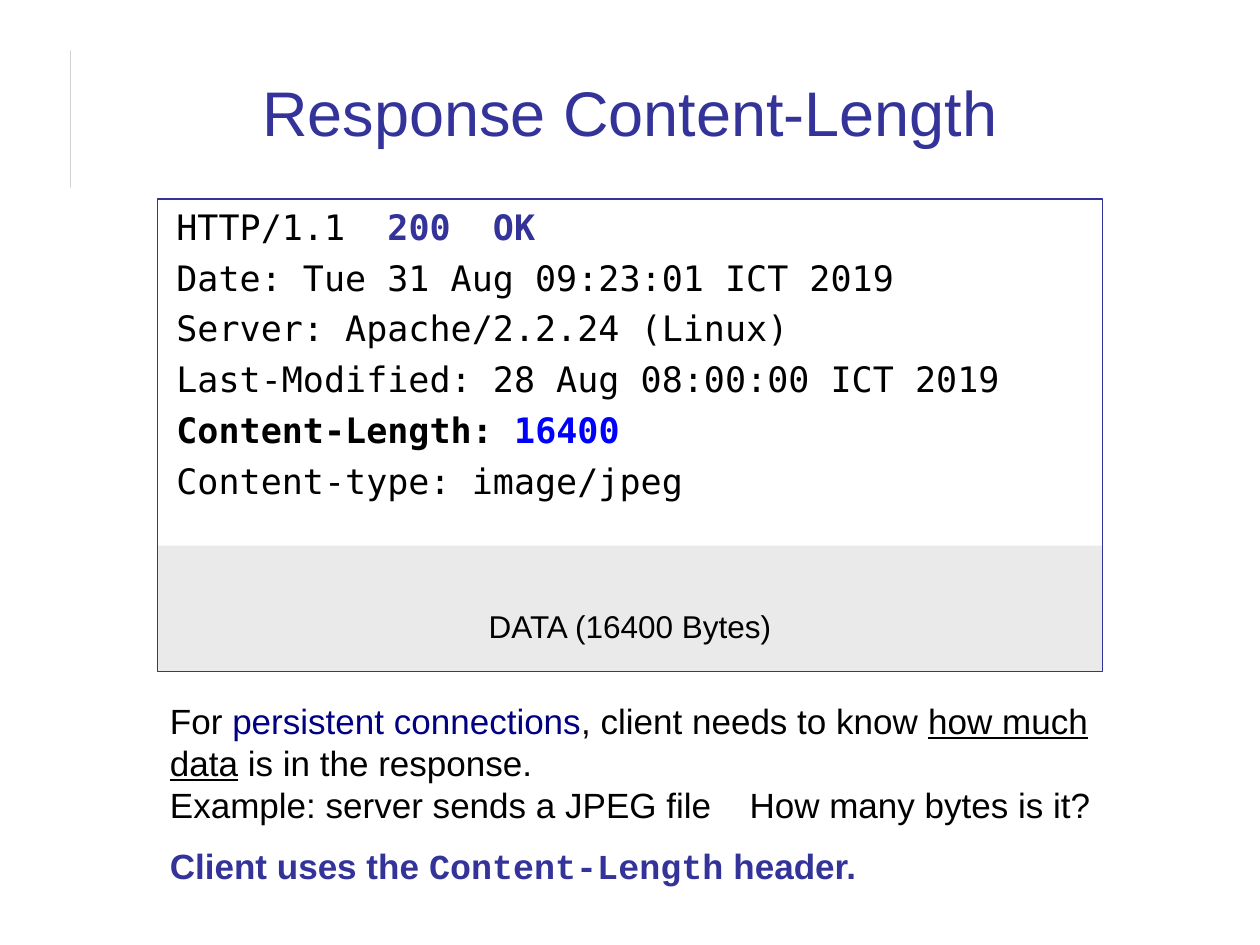
"""Build the slide on the Content-Length response header."""
from pptx import Presentation
from pptx.dml import color
from pptx.enum import shapes, text
from pptx.util import Inches, Pt

COLORS = {
    "black": "000000",
    "indigo": "333399",
    "navy": "000080",
    "blue": "0000FF",
    "data": "EAEAEA",
    "rule": "808080",
}
MONO = "DejaVu Sans Mono"

HEADERS = [
    [("HTTP/1.1  ", {}), ("200  OK", {"ink": "indigo", "bold": True})],
    [("Date: Tue 31 Aug 09:23:01 ICT 2019", {})],
    [("Server: Apache/2.2.24 (Linux)", {})],
    [("Last-Modified: 28 Aug 08:00:00 ICT 2019", {})],
    [("Content-Length: ", {"bold": True}), ("16400", {"ink": "blue", "bold": True})],
    [("Content-type: image/jpeg", {})],
]
CLIENT = {"ink": "indigo", "bold": True}
NOTES = [
    [
        ("For ", {}),
        ("persistent connections", {"ink": "navy"}),
        (", client needs to know ", {}),
        ("how much", {"underline": True}),
        (" ", {}),
        ("data", {"underline": True}),
        (" is in the response.", {}),
        ("\n", {}),
        ("Example: server sends a JPEG file\tHow many bytes is it?", {}),
    ],
    [
        ("Client uses the ", CLIENT),
        ("Content-Length", {**CLIENT, "font": "Courier New"}),
        (" header.", CLIENT),
    ],
]


def rgb(name):
    """Return the named colour."""
    return color.RGBColor.from_string(COLORS[name])


def add_run(p, words, size=20, font="Arial", ink="black", bold=False, underline=False):
    """Add one formatted run to a paragraph."""
    r = p.add_run()
    r.text = words
    r.font.size, r.font.name = Pt(size), font
    r.font.bold, r.font.underline = bold, underline
    r.font.color.rgb = rgb(ink)


def fill_text(tf, paragraphs, space=0, align=text.PP_ALIGN.LEFT, **base):
    """Write paragraphs run by run, with space between them."""
    for i, runs in enumerate(paragraphs):
        p = tf.add_paragraph() if i else tf.paragraphs[0]
        p.alignment = align
        p.space_before = Pt(space if i else 0)
        for words, style in runs:
            if words == "\n":
                p.add_line_break()
            else:
                add_run(p, words, **{**base, **style})


def add_rect(s, box, fill=None, line=None):
    """Add a flat rectangle with an optional fill and outline."""
    sp = s.shapes.add_shape(shapes.MSO_SHAPE.RECTANGLE, *map(Inches, box))
    sp.shadow.inherit = False
    if fill:
        sp.fill.solid()
        sp.fill.fore_color.rgb = rgb(fill)
    else:
        sp.fill.background()
    if line:
        sp.line.color.rgb = rgb(line)
        sp.line.width = Pt(1)
    else:
        sp.line.fill.background()
    sp.text_frame.vertical_anchor = text.MSO_ANCHOR.TOP
    return sp


def add_title(s, box):
    """Place and format the title."""
    sp = s.shapes.title
    sp.left, sp.top, sp.width, sp.height = map(Inches, box)
    sp.text_frame.vertical_anchor = text.MSO_ANCHOR.BOTTOM
    fill_text(sp.text_frame, [[("Response Content-Length", {})]],
              align=text.PP_ALIGN.CENTER, size=36, ink="indigo")


def add_response(s, box, data_height):
    """Draw the framed response, with its data band at the bottom."""
    x, y, w, h = box
    band = add_rect(s, (x, y + h - data_height, w, data_height), fill="data")
    band.text_frame.margin_top = Inches(0.49)
    fill_text(band.text_frame, [[("DATA (16400 Bytes)", {})]],
              align=text.PP_ALIGN.CENTER, size=18)
    frame = add_rect(s, box, line="indigo")
    frame.text_frame.margin_left = Inches(0.15)
    fill_text(frame.text_frame, HEADERS, space=5, font=MONO)


def set_tab(p, position):
    """Give a paragraph one left tab stop."""
    pPr = p._p.get_or_add_pPr()
    tabs = pPr.makeelement(pPr.tag.replace("}pPr", "}tabLst"), {})
    tab = pPr.makeelement(pPr.tag.replace("}pPr", "}tab"),
                          {"pos": str(Inches(position)), "algn": "l"})
    tabs.append(tab)
    pPr.append(tabs)


def add_notes(s, box):
    """Write the explanation below the response."""
    tf = s.shapes.add_textbox(*map(Inches, box)).text_frame
    tf.word_wrap = True
    fill_text(tf, NOTES, space=11.2)
    set_tab(tf.paragraphs[0], 4.6)


def main():
    """Build and save the slide."""
    prs = Presentation()
    prs.slide_width, prs.slide_height = Inches(10), Inches(7.5)
    s = prs.slides.add_slide(prs.slide_layouts[5])
    add_rect(s, (0.56, 0.4, 0, 1.09), fill="rule")
    add_title(s, (0.67, 0.28, 8.66, 0.95))
    add_response(s, (1.25, 1.58, 7.5, 3.75), 1)
    add_notes(s, (1.25, 5.5, 7.85, 1.59))
    prs.save("out.pptx")


if __name__ == "__main__":
    main()
